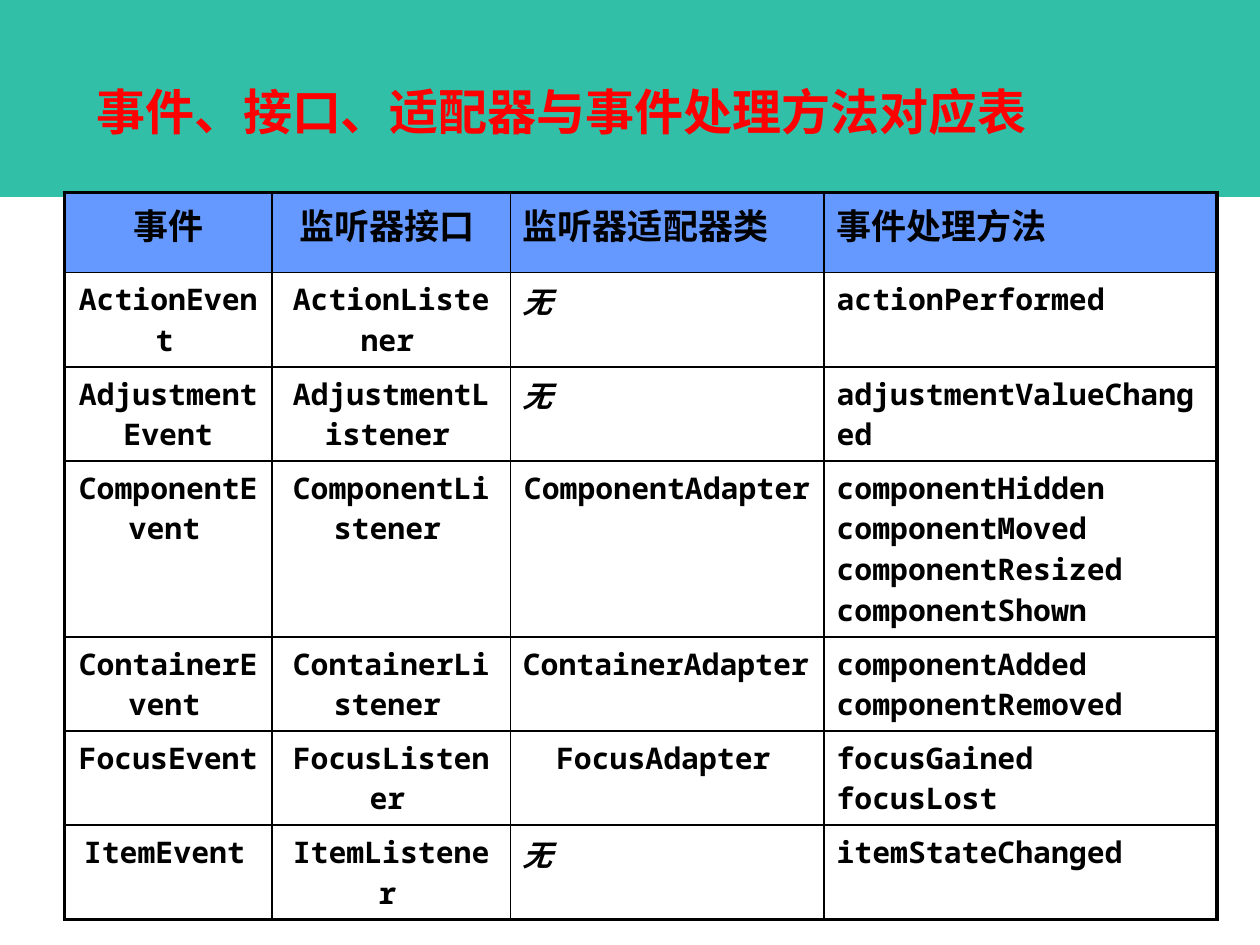
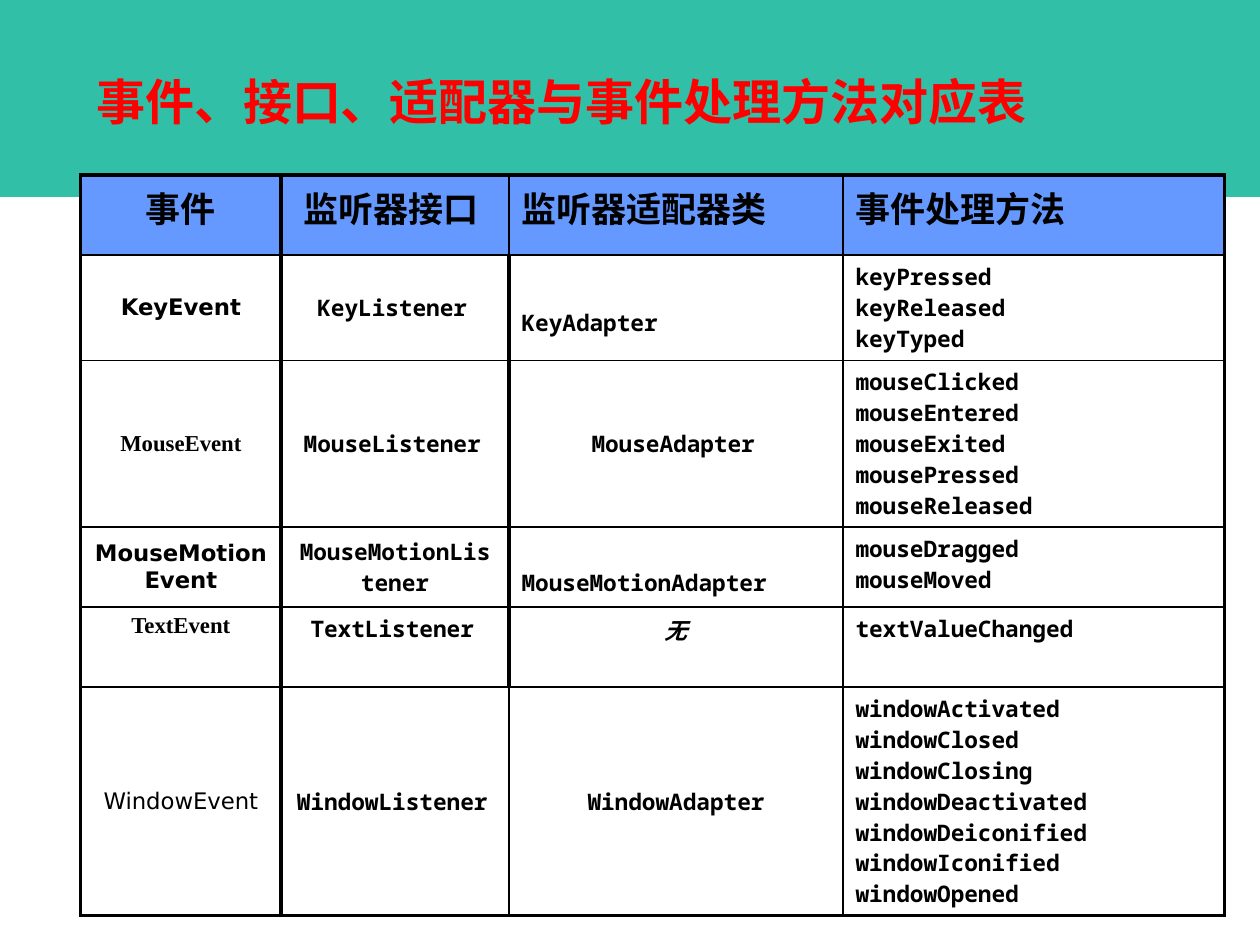
from copy import deepcopy

from pptx import Presentation
from pptx.dml.color import RGBColor
from pptx.enum.lang import MSO_LANGUAGE_ID
from pptx.enum.shapes import MSO_SHAPE
from pptx.enum.text import MSO_ANCHOR, PP_ALIGN
from pptx.oxml import parse_xml
from pptx.oxml.ns import nsdecls, qn
from pptx.util import Pt

COLORS = {"band": "31BFA7", "header": "6699FF", "title": "FF0000", "text": "000000", "border": "000000"}
SERIF, MONO, SANS = "Times New Roman", "Noto Sans Mono", "DejaVu Sans"
TITLE = "事件、接口、适配器与事件处理方法对应表"
HEADER = ["事件", "监听器接口 ", "监听器适配器类", "事件处理方法"]
NONE = "无"
THIN, THICK = 1, 2.25
BASE_HEIGHT = 45.72
LOWERED_MARGIN = 21.2

# Per slide: geometry, text size, and the cells that depart from the column rules
EVENT_TABLES = [
    {
        "title_top": 43.2, "left": 36.72, "top": 110.16, "size": 17,
        "columns": [118.8, 136.08, 179.28, 224.64],
        "heights": [BASE_HEIGHT, 53.7, 53.7, 100.6, 53.7, 53.7, 53.7],
        "event_fonts": [MONO] * 6,
        "centred": {"ComponentAdapter ", "FocusAdapter "},
        "lowered": set(), "middle_rows": set(), "thick_edges": set(),
        "rows": [
            ["ActionEvent ", "ActionListener ", NONE, "actionPerformed"],
            ["AdjustmentEvent", "AdjustmentListener ", NONE, "adjustmentValueChanged"],
            ["ComponentEvent ", "ComponentListener ", "ComponentAdapter ",
             "componentHidden\ncomponentMoved\ncomponentResized\ncomponentShown"],
            ["ContainerEvent ", "ContainerListener ", "ContainerAdapter",
             "componentAdded\ncomponentRemoved"],
            ["FocusEvent ", "FocusListener ", "FocusAdapter ", "focusGained\nfocusLost"],
            ["ItemEvent ", "ItemListener ", NONE, "itemStateChanged"],
        ],
    },
    {
        "title_top": 37.44, "left": 46.08, "top": 100.08, "size": 13,
        "columns": [114.48, 130.32, 190.8, 218.16],
        "heights": [BASE_HEIGHT, 60.1, 95.4, BASE_HEIGHT, BASE_HEIGHT, 130.5],
        "event_fonts": [SANS, SERIF, SANS, SERIF, SANS],
        "centred": {"MouseAdapter ", NONE, "WindowAdapter"},
        "lowered": {"KeyAdapter", "MouseMotionAdapter"},
        "middle_rows": {1, 2, 3, 5},
        # (row, column edge) pairs drawn thick inside the table
        "thick_edges": {(row, 1) for row in range(6)} | {(row, 2) for row in range(1, 5)},
        "rows": [
            ["KeyEvent", "KeyListener ", "KeyAdapter", "keyPressed\nkeyReleased\nkeyTyped"],
            ["MouseEvent", "MouseListener ", "MouseAdapter ",
             "mouseClicked\nmouseEntered\nmouseExited\nmousePressed\nmouseReleased"],
            ["MouseMotionEvent", "MouseMotionListener", "MouseMotionAdapter",
             "mouseDragged\nmouseMoved"],
            ["TextEvent", "TextListener ", NONE, "textValueChanged"],
            ["WindowEvent", "WindowListener ", "WindowAdapter",
             "windowActivated\nwindowClosed\nwindowClosing\nwindowDeactivated\n"
             "windowDeiconified\nwindowIconified\nwindowOpened"],
        ],
    },
]


def write_text(text_frame, text, size, font_name, color, bold=True, italic=False, alignment=PP_ALIGN.LEFT):
    paragraph = text_frame.paragraphs[0]
    paragraph.text = text.rstrip()
    paragraph.alignment = alignment
    if text.endswith(" "):
        paragraph.add_run().text = " "
    for run in paragraph.runs:
        run.font.size = Pt(size)
        # A closing space is set in the narrower serif face
        run.font.name = SERIF if run.text == " " else font_name
        run.font.bold = bold
        run.font.italic = italic
        run.font.language_id = MSO_LANGUAGE_ID.SIMPLIFIED_CHINESE
        run.font.color.rgb = RGBColor.from_string(COLORS[color])
    # Line breaks take the size of the runs around them
    for line_break in paragraph._p.findall(qn("a:br")):
        line_break.insert(0, deepcopy(paragraph.runs[0]._r.rPr))


def add_borders(cell, widths):
    properties = cell._tc.get_or_add_tcPr()
    for side, width in zip("LRTB", widths):
        properties.append(parse_xml(
            f'<a:ln{side} {nsdecls("a")} w="{int(Pt(width))}"><a:solidFill>'
            f'<a:srgbClr val="{COLORS["border"]}"/></a:solidFill></a:ln{side}>'))


presentation = Presentation()
presentation.slide_width = Pt(720)
presentation.slide_height = Pt(540)

for event_table in EVENT_TABLES:
    slide = presentation.slides.add_slide(presentation.slide_layouts[6])

    # Top band
    band = slide.shapes.add_shape(MSO_SHAPE.RECTANGLE, 0, 0, Pt(720), Pt(112.5))
    band.shadow.inherit = False
    band.fill.solid()
    band.fill.fore_color.rgb = RGBColor.from_string(COLORS["band"])
    band.line.fill.background()

    # Table frame
    rows = [HEADER] + event_table["rows"]
    columns = event_table["columns"]
    heights = event_table["heights"]
    table = slide.shapes.add_table(
        len(rows), len(columns), Pt(event_table["left"]), Pt(event_table["top"]),
        Pt(sum(columns)), Pt(sum(heights))).table
    table.first_row = False
    table.horz_banding = False
    for column, width in zip(table.columns, columns):
        column.width = Pt(width)
    for row, height in zip(table.rows, heights):
        row.height = Pt(height)

    # Table cells
    for row_index, texts in enumerate(rows):
        for column_index, text in enumerate(texts):
            cell = table.cell(row_index, column_index)
            is_header = row_index == 0
            vertical = [
                THICK if edge in (0, len(columns)) or (row_index, edge) in event_table["thick_edges"] else THIN
                for edge in (column_index, column_index + 1)]
            horizontal = [THICK if edge in (0, len(rows)) else THIN for edge in (row_index, row_index + 1)]
            add_borders(cell, vertical + horizontal)

            if is_header:
                cell.fill.solid()
                cell.fill.fore_color.rgb = RGBColor.from_string(COLORS["header"])
            else:
                cell.fill.background()
            if row_index in event_table["middle_rows"] and column_index < 3:
                cell.vertical_anchor = MSO_ANCHOR.MIDDLE
            if text in event_table["lowered"]:
                cell.margin_top = Pt(LOWERED_MARGIN)

            if is_header or text == NONE:
                font_name = SERIF
            elif column_index == 0:
                font_name = event_table["event_fonts"][row_index - 1]
            else:
                font_name = MONO
            is_centred = column_index < 2 or text in event_table["centred"]
            write_text(
                cell.text_frame, text, 20 if is_header else event_table["size"], font_name, "text",
                bold=text != "WindowEvent", italic=text == NONE,
                alignment=PP_ALIGN.CENTER if is_centred else PP_ALIGN.LEFT)

    # Title
    title = slide.shapes.add_textbox(Pt(48), Pt(event_table["title_top"]), Pt(624), Pt(41))
    title.text_frame.word_wrap = True
    write_text(title.text_frame, TITLE, 28, SERIF, "title")

presentation.save("out.pptx")
